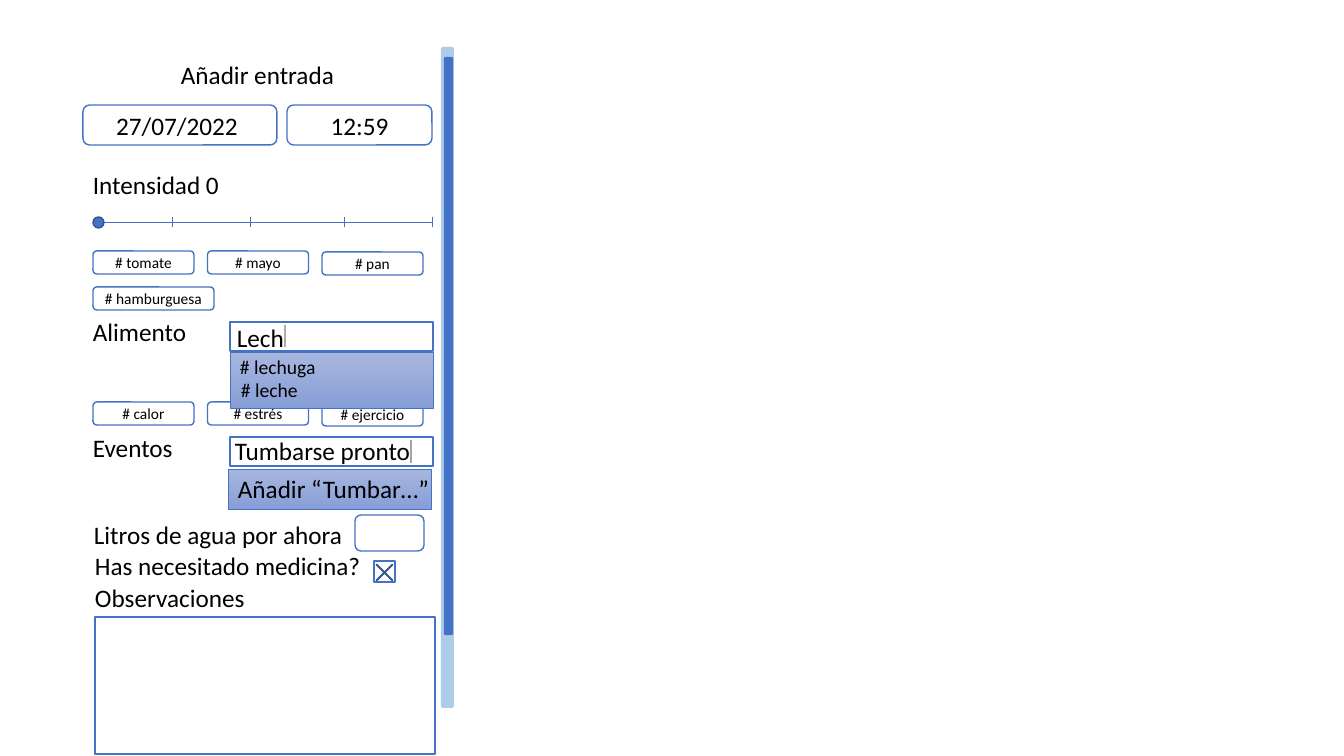
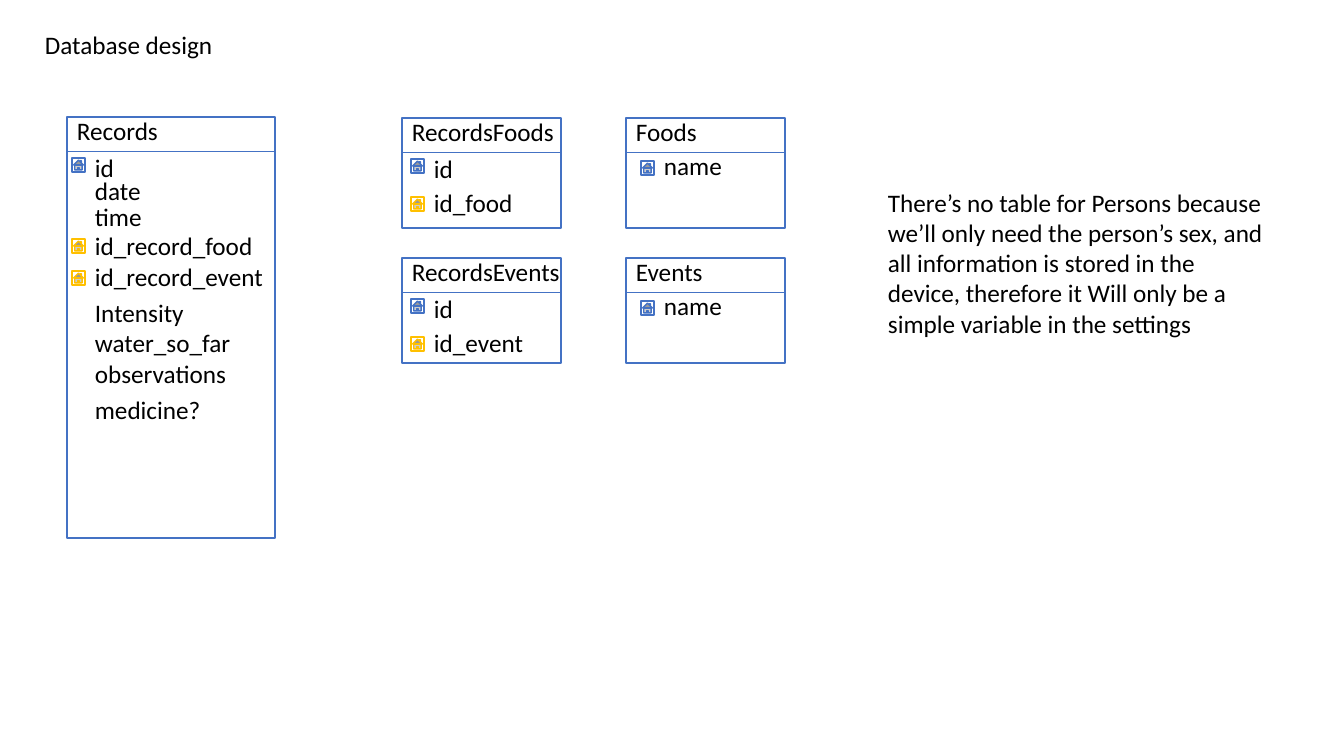
from lxml import etree
from pptx import Presentation
from pptx import util as u
from pptx.dml.color import RGBColor
from pptx.enum import shapes, text
from pptx.oxml.ns import qn

SCALE = 914400 / 100.8
WIDTH, HEIGHT = 1344, 756
FONT = "Calibri"
BLACK = RGBColor(0x00, 0x00, 0x00)
WHITE = RGBColor(0xFF, 0xFF, 0xFF)
BLUE = RGBColor(0x44, 0x72, 0xC4)
DARK_BLUE = RGBColor(0x32, 0x54, 0x91)
SKY = RGBColor(0x5B, 0x9B, 0xD5)
GOLD = RGBColor(0xFF, 0xC0, 0x00)
GRAY = RGBColor(0xAF, 0xAB, 0xAB)
LIGHT_GRAY = RGBColor(0xA5, 0xA5, 0xA5)
MENU_TOP = RGBColor(0xA8, 0xB7, 0xDF)
MENU_BOTTOM = RGBColor(0x88, 0x9E, 0xD7)

KIND = shapes.MSO_SHAPE
ALIGN = text.PP_ALIGN


def px(length):
    """Turn pixels into EMU."""
    return u.Emu(round(length * SCALE))


def write(frame, words, size=18, align=ALIGN.LEFT, color=BLACK):
    """Fill a text frame, one paragraph for each line of words."""
    for index, line in enumerate(words.split("\n")):
        paragraph = frame.add_paragraph() if index else frame.paragraphs[0]
        paragraph.alignment = align
        run = paragraph.add_run()
        run.text = line
        run.font.size = u.Pt(size)
        run.font.name = FONT
        run.font.color.rgb = color


class Sketch:
    """Draws elements in one style on the current slide."""

    def __init__(self):
        """Start an empty presentation."""
        self.presentation = Presentation()
        self.presentation.slide_width = px(WIDTH)
        self.presentation.slide_height = px(HEIGHT)
        self.slide = None

    def new_slide(self):
        """Add a blank slide and make it current."""
        self.slide = self.presentation.slides.add_slide(
            self.presentation.slide_layouts[6])

    def shape(self, kind, left, top, width, height, fill=WHITE, line=BLUE):
        """Add a filled preset shape; line None leaves out the outline."""
        shape = self.slide.shapes.add_shape(
            kind, px(left), px(top), px(width), px(height))
        shape.shadow.inherit = False
        shape.fill.solid()
        shape.fill.fore_color.rgb = fill
        if line is None:
            shape.line.fill.background()
        else:
            shape.line.color.rgb = line
            shape.line.width = u.Pt(1)
        return shape

    def box(self, left, top, width, height):
        """Add a white rectangle."""
        return self.shape(KIND.RECTANGLE, left, top, width, height)

    def pill(self, words, left, top, width, height=40, size=18):
        """Add a rounded box with centred words."""
        shape = self.shape(KIND.ROUNDED_RECTANGLE, left, top, width, height)
        if words:
            shape.text_frame.vertical_anchor = text.MSO_ANCHOR.MIDDLE
            write(shape.text_frame, words, size=size, align=ALIGN.CENTER)

    def tag(self, words, left, top, width=101):
        """Add a small tag."""
        self.pill(words, left, top, width, height=23, size=11)

    def menu(self, left, top, width, height):
        """Add a shaded suggestion list."""
        shape = self.box(left, top, width, height)
        shape.line.width = u.Pt(0.5)
        shape.fill.gradient()
        shape.fill.gradient_angle = 270
        for stop, color in zip(shape.fill.gradient_stops,
                               (MENU_TOP, MENU_BOTTOM)):
            stop.color.rgb = color

    def line(self, start, end, color=BLUE, weight=0.5):
        """Add a straight line between two points."""
        connector = self.slide.shapes.add_connector(
            shapes.MSO_CONNECTOR.STRAIGHT, *map(px, start + end))
        connector.line.color.rgb = color
        connector.line.width = u.Pt(weight)
        etree.SubElement(connector._element.spPr, qn("a:effectLst"))

    def label(self, words, left, top, width, height=40, wrap=False, **style):
        """Add a text box."""
        shape = self.slide.shapes.add_textbox(
            px(left), px(top), px(width), px(height))
        shape.text_frame.word_wrap = wrap
        shape.text_frame.auto_size = text.MSO_AUTO_SIZE.SHAPE_TO_FIT_TEXT
        write(shape.text_frame, words, **style)

    def scrollbar(self, left, top):
        """Add a translucent track and its thumb."""
        track = self.shape(KIND.ROUNDED_RECTANGLE, left, top, 13, 661,
                           fill=SKY, line=None)
        color = track._element.spPr.find(".//" + qn("a:srgbClr"))
        etree.SubElement(color, qn("a:alpha"), val="50000")
        self.shape(KIND.ROUNDED_RECTANGLE, left + 3, top + 10, 9, 578,
                   fill=BLUE, line=None)

    def entity(self, name, left, top, width, height, name_width, fields):
        """Add a database table: frame, name, rule and fields.

        A field is (words, left, top, width, key colour, key drop), with
        its place counted from the frame and the key from the field.
        """
        self.box(left, top, width, height)
        self.label(name, left, top - 7, name_width)
        self.line((left, top + 34), (left + width, top + 34))
        for words, indent, drop, field_width, key, key_drop in fields:
            lines = words.count("\n") + 1
            self.label(words, left + indent, top + drop, field_width,
                       height=10 + 30 * lines)
            if key is not None:
                self.shape(KIND.ACTION_BUTTON_HOME, left + indent - 13,
                           top + drop + key_drop, 13, 14, line=key)


def entry_form(sketch):
    """Draw the form for a new entry."""
    sketch.new_slide()
    sketch.label("Añadir entrada", 83, 54, 349, wrap=True, align=ALIGN.CENTER)
    sketch.pill("27/07/2022 ", 83, 105, 194)
    sketch.pill("12:59", 287, 105, 145)

    sketch.label("Intensidad 0", 83, 164, 340, wrap=True)
    sketch.line((93, 222), (432, 222))
    sketch.shape(KIND.OVAL, 93, 217, 11, 11, fill=BLUE, line=DARK_BLUE)
    for tick in (172, 250, 344, 432):
        sketch.line((tick, 217), (tick, 227))

    tag_rows = ((251, ("# tomate", "# mayo", "# pan")),
                (402, ("# calor", "# estrés", "# ejercicio")))
    for top, row in tag_rows:
        for column, words in enumerate(row):
            sketch.tag(words, 93 + 114.5 * column, top + column // 2)
    sketch.tag("# hamburguesa", 93, 287, width=121)

    sketch.label("Alimento", 83, 311, 115)
    sketch.box(230, 322, 203, 29)
    sketch.line((285, 325), (285, 347), color=GRAY, weight=1)
    sketch.menu(230, 352, 203, 56)
    sketch.label("Lech", 227, 317, 69)
    sketch.label("# lechuga", 230, 350, 97, height=34, size=14)
    sketch.label("# leche", 231, 373, 78, height=34, size=14)

    sketch.label("Eventos", 83, 427, 101)
    sketch.box(230, 437, 203, 29)
    sketch.line((411, 440), (411, 463), color=LIGHT_GRAY, weight=1)
    sketch.menu(228, 469, 203, 40)
    sketch.label("Tumbarse pronto", 225, 430, 198)
    sketch.label("Añadir “Tumbar…”", 228, 468, 213)

    sketch.label("Litros de agua por ahora", 84, 514, 272)
    sketch.pill("", 355, 515, 69, height=36)
    sketch.label("Has necesitado medicina?", 85, 545, 289)
    sketch.box(374, 561, 21, 21)
    cross = sketch.shape(KIND.MATH_MULTIPLY, 369, 557, 31, 31,
                         fill=BLUE, line=DARK_BLUE)
    cross.adjustments[0] = 0.015
    sketch.label("Observaciones", 85, 577, 171)
    sketch.box(95, 617, 340, 137)
    sketch.scrollbar(441, 47)


def database_design(sketch):
    """Draw the database tables and the note beside them."""
    sketch.new_slide()
    sketch.label("Database design", 35, 24, 190)
    sketch.entity("Records", 67, 117, 208, 421, 102, (
        ("id", 18, 30, 39, BLUE, 11),
        ("date", 18, 53, 67, None, 0),
        ("time", 18, 79, 68, None, 0),
        ("id_record_food", 18, 108, 179, GOLD, 14),
        ("id_record_event", 18, 139, 191, GOLD, 15),
        ("Intensity\nwater_so_far", 18, 175, 161, None, 0),
        ("observations", 18, 236, 153, None, 0),
        ("medicine?", 18, 272, 127, None, 0)))

    pairs = ((118, 110, "Foods", 82, 163, "id_food", 100),
             (258, 105, "Events", 88, 169, "id_event", 111))
    for top, height, name, name_width, join_width, key, key_width in pairs:
        sketch.entity("Records" + name, 402, top, 159, height, join_width, (
            ("id", 22, 30, 39, BLUE, 11),
            (key, 22, 64, key_width, GOLD, 15)))
        sketch.entity(name, 626, top, 159, height, name_width, (
            ("name", 28, 27, 79, BLUE, 16),))

    sketch.label(
        "There’s no table for Persons because we’ll only need the person’s "
        "sex, and all information is stored in the device, therefore it Will "
        "only be a simple variable in the settings ",
        878, 182, 400, height=163, wrap=True)


def main():
    """Build both slides and save them."""
    sketch = Sketch()
    entry_form(sketch)
    database_design(sketch)
    sketch.presentation.save("out.pptx")


main()
